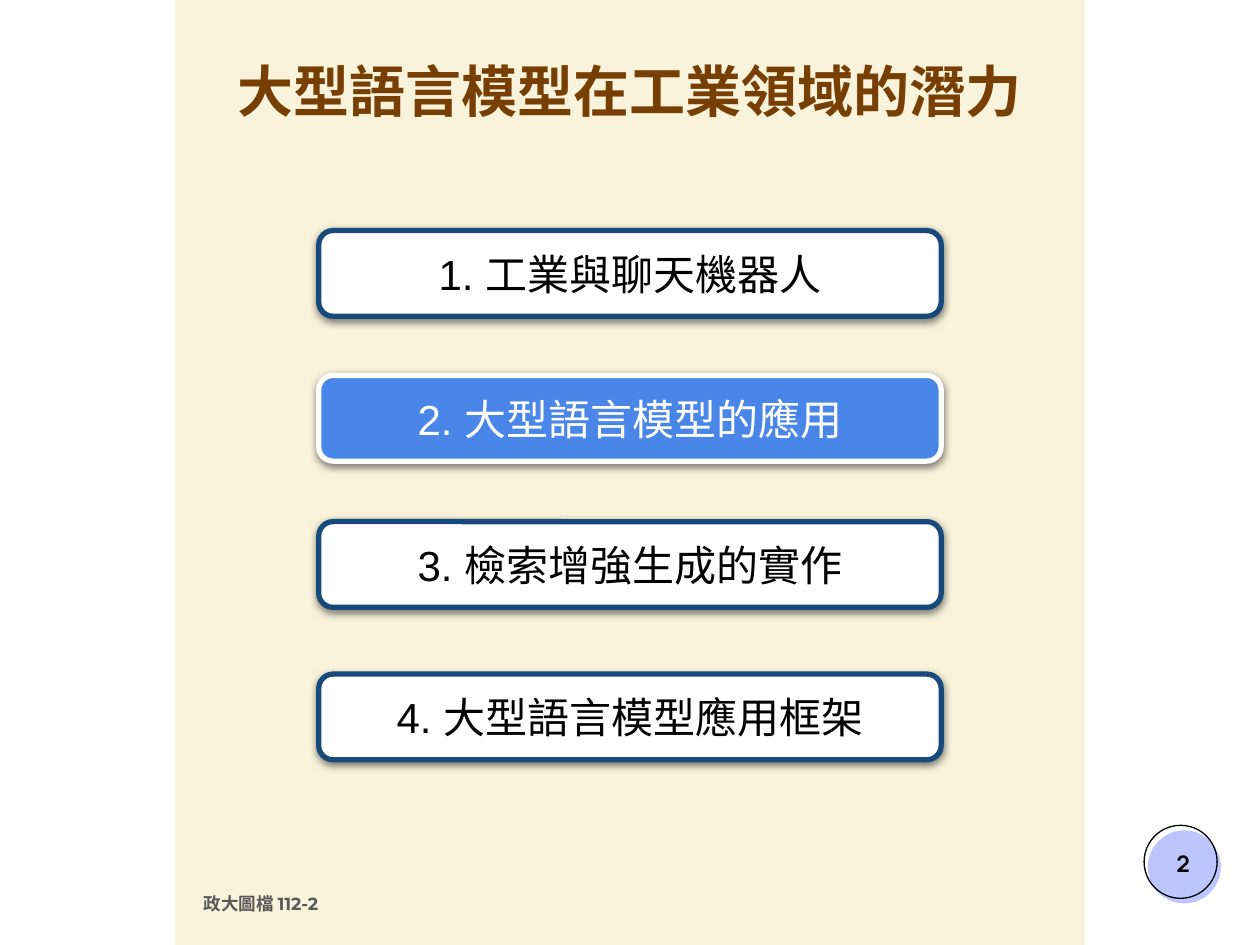
from lxml import etree
from pptx import Presentation
from pptx.dml.color import RGBColor
from pptx.enum.shapes import MSO_SHAPE
from pptx.enum.text import MSO_ANCHOR, PP_ALIGN
from pptx.oxml.ns import qn
from pptx.util import Inches, Pt

RECTANGLE, OVAL = MSO_SHAPE.RECTANGLE, MSO_SHAPE.OVAL
ROUNDED = MSO_SHAPE.ROUNDED_RECTANGLE
LEFT, CENTER = PP_ALIGN.LEFT, PP_ALIGN.CENTER
TOP, MIDDLE = MSO_ANCHOR.TOP, MSO_ANCHOR.MIDDLE

CREAM = RGBColor(0xF9, 0xF3, 0xDC)
WHITE = RGBColor(0xFF, 0xFF, 0xFF)
BLACK = RGBColor(0x00, 0x00, 0x00)
GREY = RGBColor(0x59, 0x59, 0x59)
BROWN = RGBColor(0x78, 0x3F, 0x04)
NAVY = RGBColor(0x18, 0x49, 0x7B)
BLUE = RGBColor(0x4A, 0x86, 0xE8)
LAVENDER = RGBColor(0xBD, 0xC5, 0xFF)

TOPICS = [
    (1.83, "1. 工業與聊天機器人"),
    (2.98, "2. 大型語言模型的應用"),
    (4.14, "3. 檢索增強生成的實作"),
    (5.35, "4. 大型語言模型應用框架"),
]
CURRENT_TOPIC = 1


class AgendaSlide:
    def __init__(self, presentation):
        self.slide = presentation.slides.add_slide(presentation.slide_layouts[6])
        background = self.slide.background.fill
        background.solid()
        background.fore_color.rgb = CREAM

    def shape(self, kind, left, top, width, height, fill=None, line=None, line_width=0.75):
        shape = self.slide.shapes.add_shape(
            kind, Inches(left), Inches(top), Inches(width), Inches(height))
        shape.shadow.inherit = False
        if fill is None:
            shape.fill.background()
        else:
            shape.fill.solid()
            shape.fill.fore_color.rgb = fill
        if line is None:
            shape.line.fill.background()
        else:
            shape.line.color.rgb = line
            shape.line.width = Pt(line_width)
        return shape

    def add_label(self, shape, text, size, font, color, bold=False,
                  align=CENTER, anchor=MIDDLE, top_inset=0.1):
        frame = shape.text_frame
        frame.word_wrap = True
        frame.vertical_anchor = anchor
        frame.margin_left = frame.margin_right = frame.margin_bottom = Inches(0.1)
        frame.margin_top = Inches(top_inset)
        paragraph = frame.paragraphs[0]
        paragraph.alignment = align
        run = paragraph.add_run()
        run.text = text
        run.font.size = Pt(size)
        run.font.name = font
        run.font.bold = bold
        run.font.color.rgb = color

    def text(self, left, top, width, height, *content, **style):
        box = self.slide.shapes.add_textbox(
            Inches(left), Inches(top), Inches(width), Inches(height))
        self.add_label(box, *content, **style)

    def topic(self, top, text, current):
        fill, line, color = (BLUE, WHITE, WHITE) if current else (WHITE, NAVY, BLACK)
        button = self.shape(ROUNDED, 2.53, top, 4.94, 0.68, fill, line, 3)
        self.drop_shadow(button)
        self.add_label(button, text, 24, "Arial", color)

    def drop_shadow(self, shape):
        """Add a soft, half-transparent black shadow below the shape."""
        effects = shape._element.spPr.find(qn("a:effectLst"))
        shadow = etree.SubElement(
            effects, qn("a:outerShdw"), blurRad=str(Pt(4.5)), dist=str(Pt(1.5)),
            dir="5400000", algn="bl", rotWithShape="0")
        color = etree.SubElement(shadow, qn("a:srgbClr"), val=str(BLACK))
        etree.SubElement(color, qn("a:alpha"), val="50000")


def main():
    presentation = Presentation()
    presentation.slide_width = Inches(10)
    presentation.slide_height = Inches(7.5)
    agenda = AgendaSlide(presentation)

    agenda.text(1.52, 7, 4.31, 0.37, "政大圖檔 112-2", 10, "Montserrat", GREY,
                bold=True, align=LEFT, anchor=TOP)
    for left in (0, 8.61):
        agenda.shape(RECTANGLE, left, 0, 1.39, 7.5, WHITE)

    agenda.shape(OVAL, 9.11, 6.59, 0.58, 0.58, LAVENDER)
    agenda.shape(OVAL, 9.08, 6.55, 0.58, 0.58, line=BLACK)
    agenda.text(9.09, 6.57, 0.6, 0.57, "2", 13, "Manrope", BLACK, bold=True)

    agenda.text(1.39, 0.45, 7.22, 0.68, "大型語言模型在工業領域的潛力", 32, "Manrope",
                BROWN, bold=True, anchor=TOP, top_inset=0)
    for index, (top, text) in enumerate(TOPICS):
        agenda.topic(top, text, current=index == CURRENT_TOPIC)

    presentation.save("out.pptx")


if __name__ == "__main__":
    main()
